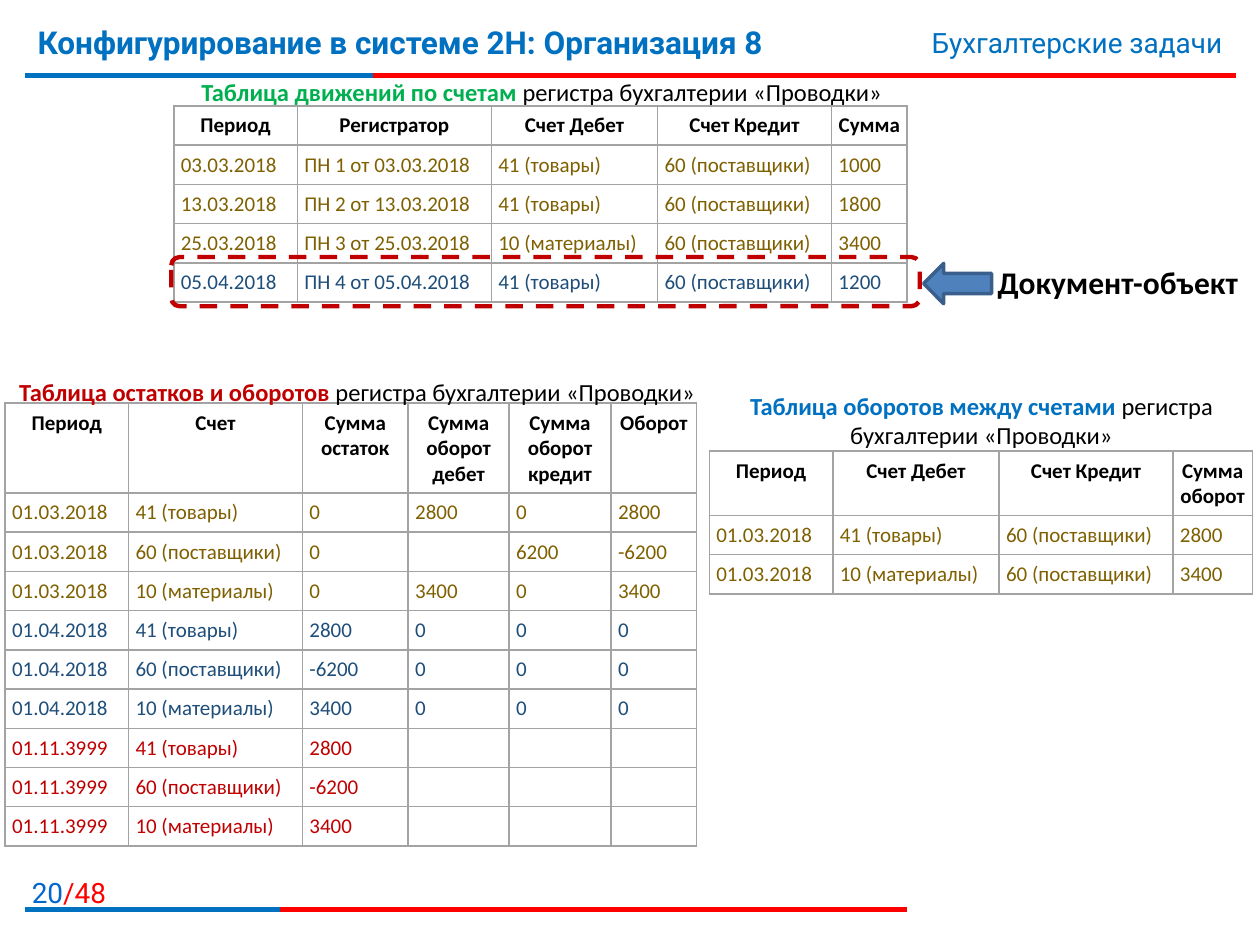
from dataclasses import dataclass

from lxml import etree
from pptx import Presentation
from pptx import util as u
from pptx.dml.color import RGBColor
from pptx.enum import dml, shapes, text
from pptx.oxml import ns


@dataclass(frozen=True)
class Theme:
    heading_font: str = "Roboto"
    body_font: str = "Calibri"
    title_size: int = 18
    section_size: int = 16
    caption_size: int = 14
    cell_size: int = 12
    black: str = "000000"
    blue: str = "0070C0"
    page_blue: str = "0066CC"
    red: str = "FF0000"
    green: str = "00B050"
    dark_red: str = "C00000"
    march: str = "7F6000"
    april: str = "1E4E79"
    grid: str = "A3A3A3"
    arrow_fill: str = "4F81BD"
    arrow_line: str = "3A5F8C"


THEME = Theme()
ROW_HEIGHT = 0.31
REGISTER = "регистра бухгалтерии «Проводки»"
GOODS, SUPPLIERS, MATERIALS = "41 (товары)", "60 (поставщики)", "10 (материалы)"


def rgb(color):
    return RGBColor.from_string(color)


def style_font(font, size, color, bold=False, name=THEME.body_font):
    font.name, font.size, font.bold = name, u.Pt(size), bold
    font.color.rgb = rgb(color)


def add_label(slide, box, parts, size, font=THEME.body_font,
              align=text.PP_ALIGN.LEFT, grow=True):
    """Parts are (wording, color, bold) runs of one paragraph."""
    label = slide.shapes.add_textbox(*map(u.Inches, box))
    frame = label.text_frame
    frame.word_wrap = True
    if grow:
        frame.auto_size = text.MSO_AUTO_SIZE.SHAPE_TO_FIT_TEXT
    paragraph = frame.paragraphs[0]
    paragraph.alignment = align
    for wording, color, bold in parts:
        run = paragraph.add_run()
        run.text = wording
        if len(parts) > 1:
            style_font(run.font, size, color, bold, font)
    if len(parts) == 1:
        style_font(paragraph.font, size, color, bold, font)


def add_rule(slide, y, blue_end, red_end):
    """Red rule with a blue opening stretch."""
    for end, color in ((red_end, THEME.red), (blue_end, THEME.blue)):
        rule = slide.shapes.add_connector(
            shapes.MSO_CONNECTOR.STRAIGHT,
            *map(u.Inches, (0.2, y, end, y)))
        rule.line.color.rgb = rgb(color)
        rule.line.width = u.Pt(3)
        etree.SubElement(rule._element.spPr, ns.qn("a:effectLst"))


def add_borders(cell):
    properties = cell._tc.get_or_add_tcPr()
    for position, side in enumerate(("a:lnL", "a:lnR", "a:lnT", "a:lnB")):
        border = etree.Element(ns.qn(side), w=str(u.Pt(1)))
        fill = etree.SubElement(border, ns.qn("a:solidFill"))
        etree.SubElement(fill, ns.qn("a:srgbClr"), val=THEME.grid)
        properties.insert(position, border)


def fill_cell(cell, wording, color, header):
    cell.fill.background()
    cell.margin_left = cell.margin_right = u.Pt(4)
    cell.margin_top = cell.margin_bottom = u.Pt(4)
    add_borders(cell)
    paragraph = cell.text_frame.paragraphs[0]
    if wording:
        cell.text = wording
        paragraph = cell.text_frame.paragraphs[0]
    else:
        # Keeps an empty cell from stretching its row
        etree.SubElement(paragraph._p, ns.qn("a:endParaRPr"),
                         sz=str(THEME.cell_size * 100))
    if header:
        paragraph.alignment = text.PP_ALIGN.CENTER
    style_font(paragraph.font, THEME.cell_size, color, header)


def add_register(slide, left, top, widths, header_height, headings, records):
    """Records are (color, cells) pairs."""
    rows = [(THEME.black, headings), *records]
    height = header_height + ROW_HEIGHT * len(records)
    table = slide.shapes.add_table(
        len(rows), len(widths),
        *map(u.Inches, (left, top, sum(widths), height))).table
    table.first_row = table.horz_banding = False
    for column, width in zip(table.columns, widths):
        column.width = u.Inches(width)
    for index, (color, cells) in enumerate(rows):
        row_height = ROW_HEIGHT if index else header_height
        table.rows[index].height = u.Inches(row_height)
        for column, wording in enumerate(cells):
            fill_cell(table.cell(index, column), wording, color, index == 0)


def add_outline(slide, kind, box, line_color, line_width, fill=None):
    outline = slide.shapes.add_shape(kind, *map(u.Inches, box))
    outline.shadow.inherit = False
    if fill:
        outline.fill.solid()
        outline.fill.fore_color.rgb = rgb(fill)
    else:
        outline.fill.background()
    outline.line.color.rgb = rgb(line_color)
    outline.line.width = u.Pt(line_width)
    return outline


def add_frame(slide):
    right = text.PP_ALIGN.RIGHT
    add_rule(slide, 0.6, 2.96, 9.81)
    add_label(slide, (0.05, 6.9, 0.89, 0.32),
              [("20", THEME.page_blue, False), ("/48", THEME.red, False)],
              THEME.section_size, THEME.heading_font, right, grow=False)
    add_rule(slide, 7.22, 2.22, 7.2)
    add_label(slide, (0.2, 0.13, 7.4, 0.62),
              [("Конфигурирование в системе 2Н: Организация 8", THEME.blue, True)],
              THEME.title_size, THEME.heading_font, grow=False)
    add_label(slide, (5.94, 0.15, 3.86, 0.37),
              [("Бухгалтерские задачи", THEME.blue, False)],
              THEME.section_size, THEME.heading_font, right)


def add_registers(slide):
    # Turnover between accounts
    add_register(
        slide, 5.63, 3.58, (0.98, 1.32, 1.38, 0.63), 0.51,
        ("Период", "Счет Дебет", "Счет Кредит", "Сумма оборот"),
        [(THEME.march, ("01.03.2018", GOODS, SUPPLIERS, "2800")),
         (THEME.march, ("01.03.2018", MATERIALS, SUPPLIERS, "3400"))])

    # Balances and turnover: the same three accounts in every period
    accounts = (GOODS, SUPPLIERS, MATERIALS)
    zeros, blanks = ("0",) * 3, ("",) * 3
    periods = [
        (THEME.march, "01.03.2018", "000",
         [("2800", "0", "2800"), ("", "6200", "-6200"), ("3400", "0", "3400")]),
        (THEME.april, "01.04.2018", ("2800", "-6200", "3400"), [zeros] * 3),
        (THEME.dark_red, "01.11.3999", ("2800", "-6200", "3400"), [blanks] * 3),
    ]
    add_register(
        slide, 0.04, 3.2, (0.98, 1.38, 0.84, 0.8, 0.81, 0.68), 0.71,
        ("Период", "Счет", "Сумма остаток", "Сумма оборот дебет",
         "Сумма оборот кредит", "Оборот"),
        [(color, (period, account, balance, *turnover))
         for color, period, balances, turnovers in periods
         for account, balance, turnover in zip(accounts, balances, turnovers)])

    # Movements: each one is recorded by a numbered receipt
    movements = [(THEME.march, "03.03.2018", GOODS, "1000"),
                 (THEME.march, "13.03.2018", GOODS, "1800"),
                 (THEME.march, "25.03.2018", MATERIALS, "3400"),
                 (THEME.april, "05.04.2018", GOODS, "1200")]
    add_register(
        slide, 1.38, 0.84, (0.98, 1.54, 1.32, 1.38, 0.6), ROW_HEIGHT,
        ("Период", "Регистратор", "Счет Дебет", "Счет Кредит", "Сумма"),
        [(color, (date, f"ПН {number} от {date}", debit, SUPPLIERS, amount))
         for number, (color, date, debit, amount) in enumerate(movements, 1)])


def add_captions(slide):
    captions = [
        ((1.39, 0.56, 5.82, 0.34), "Таблица движений по счетам", THEME.green),
        ((0.04, 2.94, 5.59, 0.34), "Таблица остатков и оборотов", THEME.dark_red),
        ((5.63, 3.05, 4.32, 0.58), "Таблица оборотов между счетами", THEME.blue)]
    for box, name, color in captions:
        add_label(slide, box,
                  [(name, color, True), (" " + REGISTER, THEME.black, False)],
                  THEME.caption_size, align=text.PP_ALIGN.CENTER)


def add_document_callout(slide):
    kinds = shapes.MSO_SHAPE
    add_outline(slide, kinds.LEFT_ARROW, (7.33, 2.09, 0.54, 0.32),
                THEME.arrow_line, 2, THEME.arrow_fill)
    highlight = add_outline(slide, kinds.ROUNDED_RECTANGLE,
                            (1.36, 2.04, 5.94, 0.39), THEME.dark_red, 2.5)
    highlight.line.dash_style = dml.MSO_LINE.DASH
    add_label(slide, (7.82, 2.04, 2.18, 0.4),
              [("Документ-объект", THEME.black, True)], THEME.title_size)


def main():
    deck = Presentation()
    deck.slide_width, deck.slide_height = u.Inches(10), u.Inches(7.5)
    slide = deck.slides.add_slide(deck.slide_layouts[6])
    add_frame(slide)
    add_registers(slide)
    add_captions(slide)
    add_document_callout(slide)
    deck.save("out.pptx")


if __name__ == "__main__":
    main()
